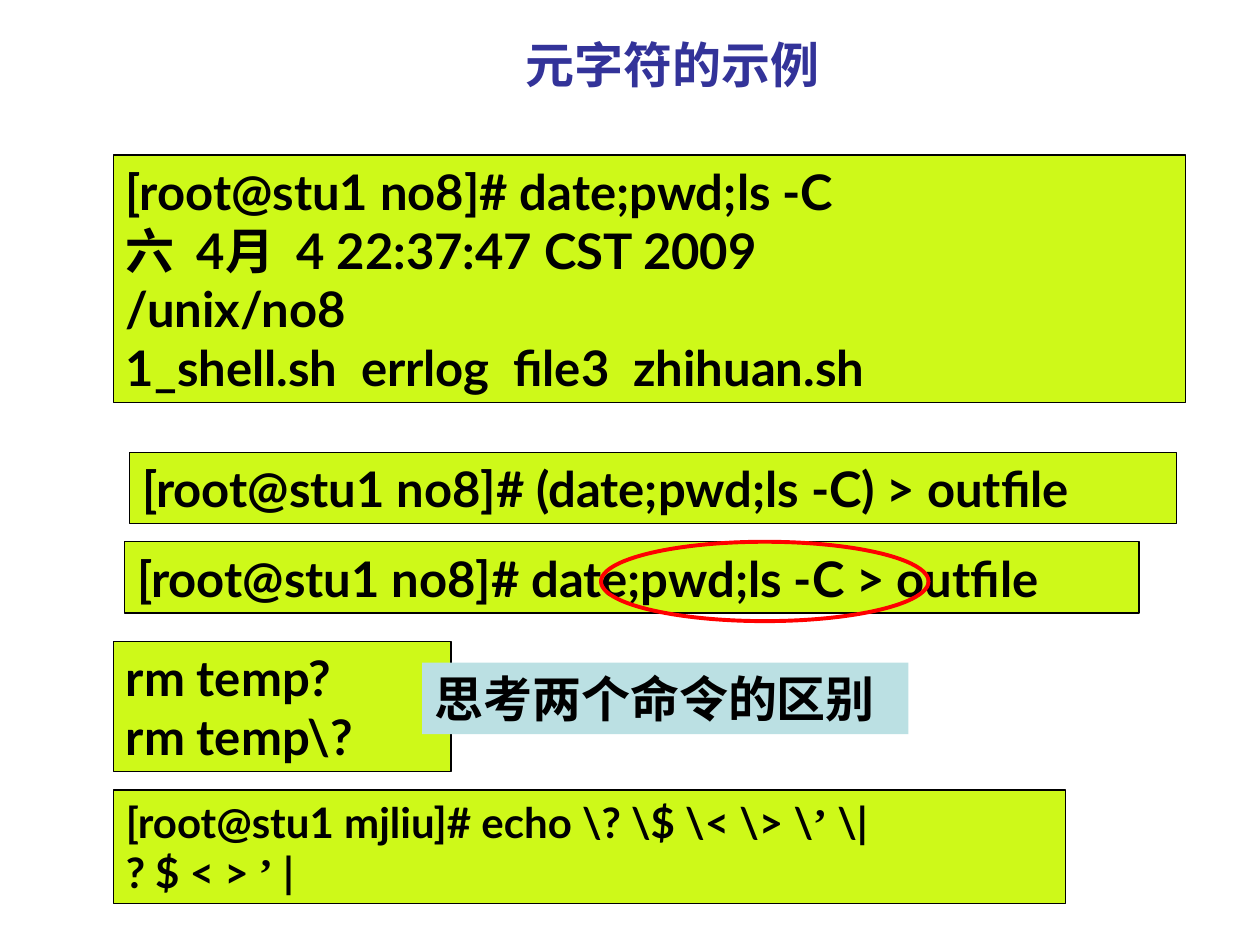
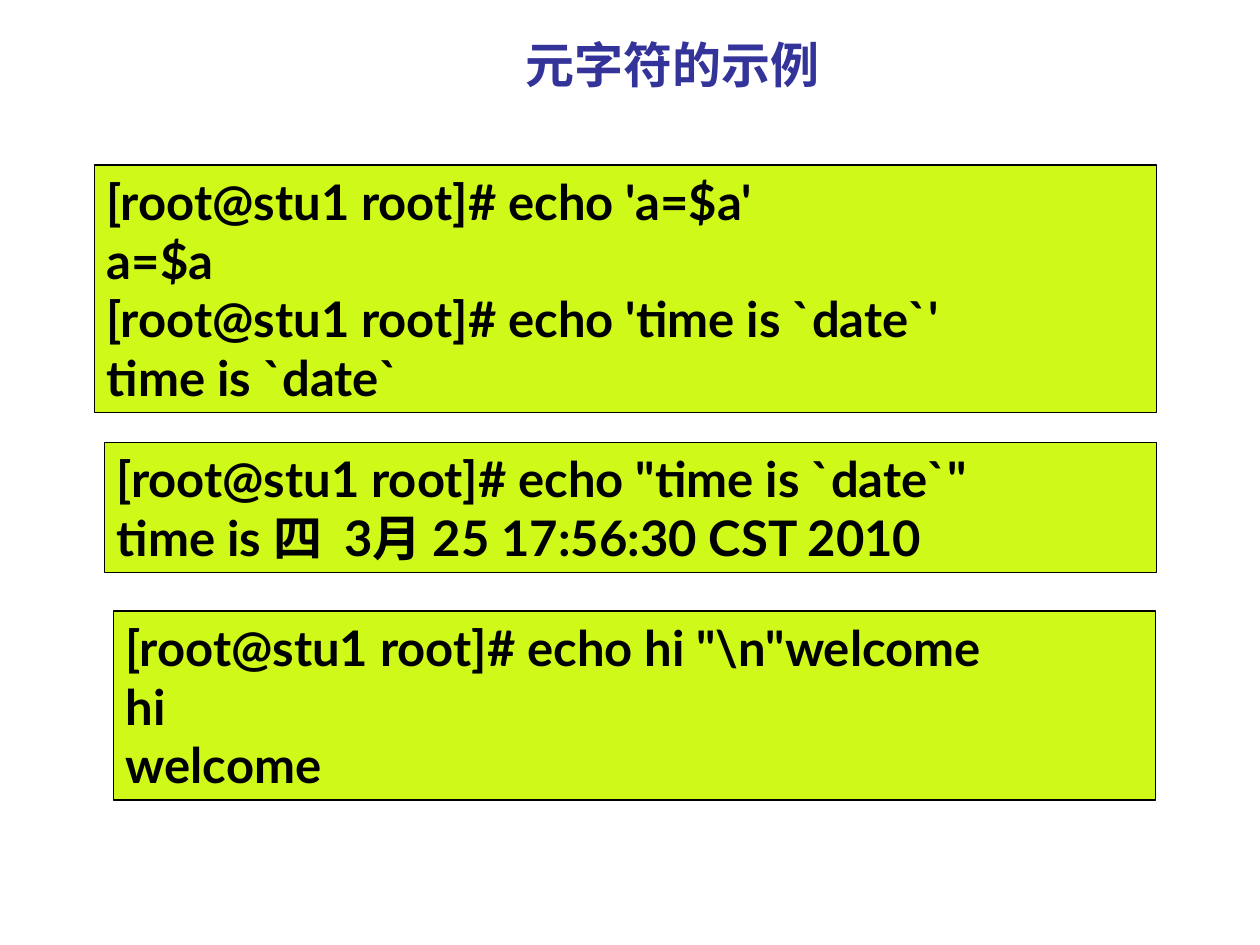
from pptx import Presentation
from pptx.dml.color import RGBColor
from pptx.enum.shapes import MSO_SHAPE
from pptx.enum.text import MSO_ANCHOR, MSO_AUTO_SIZE, PP_ALIGN
from pptx.util import Inches, Pt

RECT, OVAL = MSO_SHAPE.RECTANGLE, MSO_SHAPE.OVAL
LEFT, CENTER = PP_ALIGN.LEFT, PP_ALIGN.CENTER
TOP, MIDDLE = MSO_ANCHOR.TOP, MSO_ANCHOR.MIDDLE
NO_FIT = MSO_AUTO_SIZE.NONE

COLS, ROWS = 100, 75
LINE_HEIGHT = 1.2
INSET_X, INSET_Y = 0.1, 0.05
QUOTE = "’"


def rgb(color):
    return RGBColor.from_string(color)


class Deck:
    lime, aqua, red = "CEF919", "BBE0E3", "FF0000"
    ink, navy = "000000", "333399"
    sans, serif = "Lato", "Times New Roman"

    def __init__(self):
        self.prs = Presentation()
        self.prs.slide_width, self.prs.slide_height = Inches(10), Inches(7.5)
        self.s = None

    def place(self, sp, col, row, cols, rows):
        w, h = self.prs.slide_width, self.prs.slide_height
        sp.left, sp.width = (round(w * n / COLS) for n in (col, cols))
        sp.top, sp.height = (round(h * n / ROWS) for n in (row, rows))

    def style(self, p, size, color, font, align):
        p.alignment = align
        p.font.size = Pt(size)
        p.font.bold = True
        p.font.color.rgb = rgb(color)
        if font:
            p.font.name = font

    def slide(self, title):
        self.s = self.prs.slides.add_slide(self.prs.slide_layouts[5])
        sp = self.s.shapes.title
        self.place(sp, 6.7, 2.1, 93.3, 6)
        tf = sp.text_frame
        tf.text = title
        tf.auto_size = NO_FIT
        tf.vertical_anchor = MIDDLE
        self.style(tf.paragraphs[0], 28, self.navy, self.serif, CENTER)

    def shape(self, kind, col, row, cols, rows, fill=None, line=None, weight=0.75):
        sp = self.s.shapes.add_shape(kind, 0, 0, 0, 0)
        self.place(sp, col, row, cols, rows)
        sp.shadow.inherit = False
        if fill:
            sp.fill.solid()
            sp.fill.fore_color.rgb = rgb(fill)
        else:
            sp.fill.background()
        if line:
            sp.line.color.rgb = rgb(line)
            sp.line.width = Pt(weight)
        else:
            sp.line.fill.background()
        return sp

    def box(self, col, row, cols, lines, size=28, fill=lime, line=ink):
        height = len(lines) * size * LINE_HEIGHT / 72 + 2 * INSET_Y
        sp = self.shape(RECT, col, row, cols, height * 10, fill, line)
        tf = sp.text_frame
        tf.word_wrap = True
        tf.auto_size = NO_FIT
        tf.vertical_anchor = TOP
        tf.margin_left = tf.margin_right = Inches(INSET_X)
        tf.margin_top = tf.margin_bottom = Inches(INSET_Y)
        for i, text in enumerate(lines):
            p = tf.paragraphs[0] if i == 0 else tf.add_paragraph()
            self.text_line(p, text, size)

    def text_line(self, p, text, size):
        before, quote, after = text.partition(QUOTE)
        self.style(p, size, self.ink, None if quote else self.sans, LEFT)
        for part in filter(None, (before, quote, after)):
            r = p.add_run()
            r.text = part
            if quote:
                r.font.name = self.serif if part == QUOTE else self.sans

    def ring(self, col, row, cols, rows):
        self.shape(OVAL, col, row, cols, rows, line=self.red, weight=2.25)


def main():
    deck = Deck()
    title = "元字符的示例"

    deck.slide(title)
    deck.box(9, 12.3, 85.1, [
        "[root@stu1 no8]# date;pwd;ls -C",
        "六  4月  4 22:37:47 CST 2009",
        "/unix/no8",
        "1_shell.sh  errlog  file3  zhihuan.sh",
    ])
    deck.box(10.3, 35.9, 83.1, ["[root@stu1 no8]# (date;pwd;ls -C) > outfile"])
    deck.box(9.9, 43, 80.5, ["[root@stu1 no8]# date;pwd;ls -C > outfile"])
    deck.ring(47.7, 43, 26, 6.3)
    deck.box(9, 50.9, 26.8, ["rm temp?", r"rm temp\?"])
    deck.box(33.5, 52.6, 38.6, ["思考两个命令的区别"], fill=deck.aqua, line=None)
    deck.box(9, 62.7, 75.6, [
        r"[root@stu1 mjliu]# echo \? \$ \< \> \’ \|",
        "? $ < > ’ |",
    ], size=24)

    deck.slide(title)
    deck.box(7.5, 13.1, 84.3, [
        "[root@stu1 root]# echo 'a=$a'",
        "a=$a",
        "[root@stu1 root]# echo 'time is `date`'",
        "time is `date`",
    ])
    deck.box(8.3, 35.1, 83.5, [
        '[root@stu1 root]# echo "time is `date`"',
        "time is 四  3月 25 17:56:30 CST 2010",
    ])
    deck.box(9, 48.5, 82.7, [
        r'[root@stu1 root]# echo hi "\n"welcome',
        "hi",
        "welcome",
    ])

    deck.prs.save("out.pptx")


if __name__ == "__main__":
    main()
